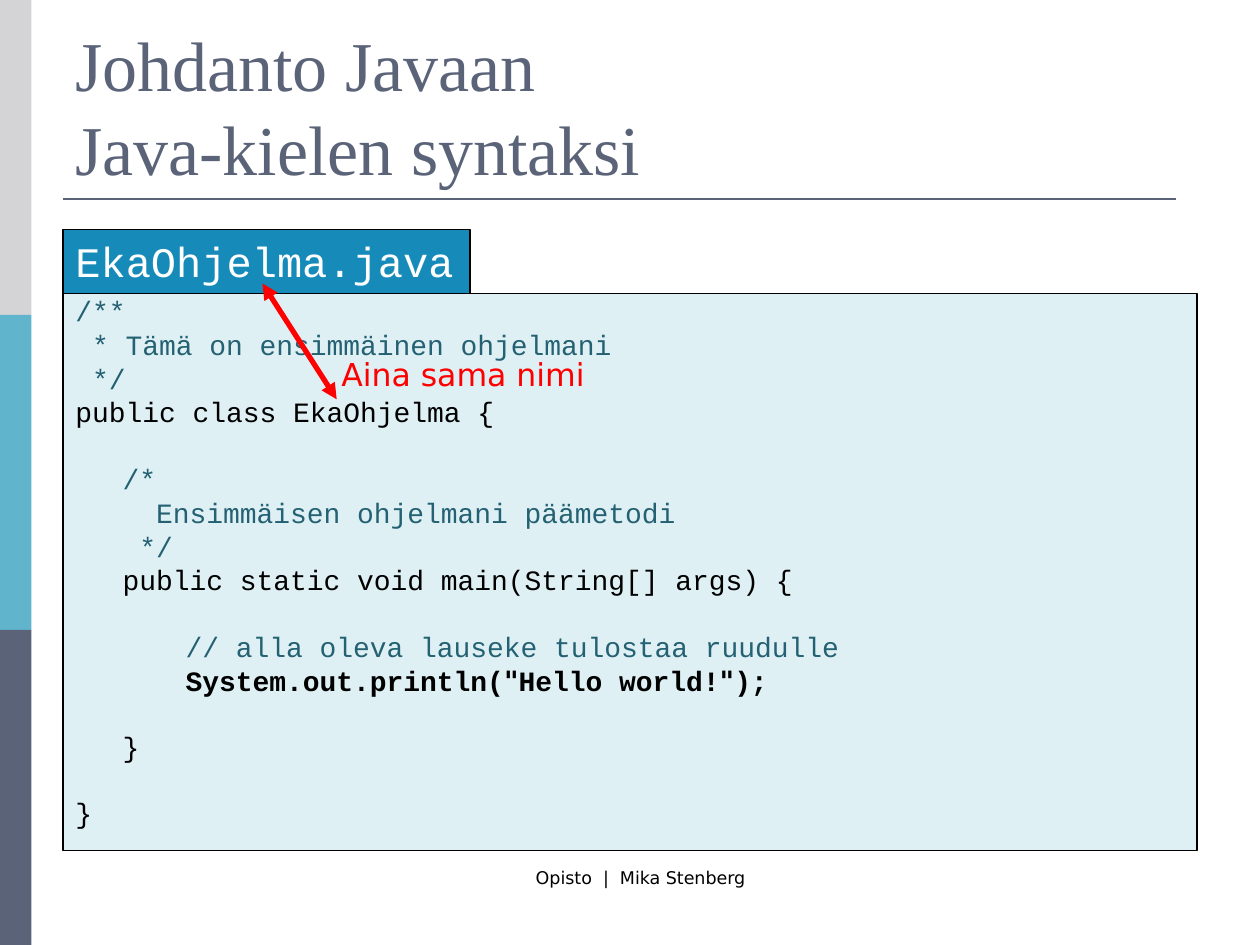
from lxml.etree import SubElement
from pptx import Presentation
from pptx.dml.color import RGBColor
from pptx.enum.shapes import MSO_CONNECTOR, MSO_SHAPE
from pptx.enum.text import MSO_ANCHOR, PP_ALIGN
from pptx.oxml.ns import qn
from pptx.util import Pt

SLATE, BLACK, WHITE, RED = "5A6378", "000000", "FFFFFF", "FF0000"
COMMENT = "246172"
MONO, SANS, SERIF = "Courier New", "DejaVu Sans", "Times New Roman"

# (text, colour, blank line before)
CODE = [
    ("/**", COMMENT, False),
    (" * Tämä on ensimmäinen ohjelmani", COMMENT, False),
    (" */", COMMENT, False),
    ("public class EkaOhjelma {", BLACK, False),
    ("\t/*", COMMENT, True),
    ("\t  Ensimmäisen ohjelmani päämetodi", COMMENT, False),
    ("\t */", COMMENT, False),
    ("\tpublic static void main(String[] args) {", BLACK, False),
    ("\t\t// alla oleva lauseke tulostaa ruudulle", COMMENT, True),
    ('\t\tSystem.out.println("Hello world!");', BLACK, False),
    ("\t}", BLACK, True),
    ("}", BLACK, True),
]


def rgb(color):
    return RGBColor.from_string(color)


def style(font, size, name, color):
    font.size, font.name = Pt(size), name
    font.color.rgb = rgb(color)


def text_frame(slide, box, fill=None, wrap=True):
    area = slide.shapes.add_textbox(*map(Pt, box))
    if fill:
        area.fill.solid()
        area.fill.fore_color.rgb = rgb(fill)
        area.line.color.rgb = rgb(BLACK)
        area.line.width = Pt(0.75)
    area.text_frame.word_wrap = wrap
    return area.text_frame


def label(slide, box, text, size, name, color, fill=None, wrap=False):
    frame = text_frame(slide, box, fill, wrap)
    paragraph = frame.paragraphs[0]
    paragraph.text = text
    style(paragraph.font, size, name, color)
    return frame


def line(slide, start, end, color, width):
    connector = slide.shapes.add_connector(
        MSO_CONNECTOR.STRAIGHT, *map(Pt, start + end))
    connector.line.color.rgb = rgb(color)
    connector.line.width = Pt(width)
    SubElement(connector._element.spPr, qn("a:effectLst"))
    return connector


def side_bar(slide, left, top, width, height):
    colors = ("D4D4D6", "60B5CC", SLATE)
    part = height / len(colors)
    for i, color in enumerate(colors):
        band = slide.shapes.add_shape(
            MSO_SHAPE.RECTANGLE, Pt(left), Pt(top + i * part), Pt(width), Pt(part))
        band.shadow.inherit = False
        band.fill.solid()
        band.fill.fore_color.rgb = rgb(color)
        band.line.fill.background()


def heading(slide, left, top, width, height):
    frame = label(slide, (left, top, width, height),
                  "Johdanto Javaan\vJava-kielen syntaksi", 40, SERIF, SLATE, wrap=True)
    frame.vertical_anchor = MSO_ANCHOR.BOTTOM
    frame.paragraphs[0].line_spacing = Pt(48)
    rule_y = top + height + 2.2
    line(slide, (left, rule_y), (left + 636, rule_y), SLATE, 1.5)


def code_panel(slide, left, top, width, height):
    tab_height = 36.6
    label(slide, (left, top, 232.6, tab_height), "EkaOhjelma.java", 24, MONO, WHITE, "168BBA")
    frame = text_frame(
        slide, (left, top + tab_height, width, height - tab_height), "DFF0F5")
    for i, (text, color, gap) in enumerate(CODE):
        paragraph = frame.add_paragraph() if i else frame.paragraphs[0]
        indent = paragraph._p.get_or_add_pPr()
        indent.set("marL", str(Pt(27)))
        indent.set("indent", str(Pt(-27)))
        paragraph.line_spacing = 0.8
        paragraph.space_before = Pt(22.5 if gap else 4)
        style(paragraph.font, 16, MONO, color)
        paragraph.font.bold = "println" in text
        # Quotation marks are set in the sans font
        for j, piece in enumerate(text.split('"')):
            if j:
                quote = paragraph.add_run()
                quote.text, quote.font.name = '"', SANS
            paragraph.add_run().text = piece


def same_name_note(slide, left, top, width, height):
    arrow = line(slide, (left - 38, top - 37.5), (left + 4.4, top + 28.7), RED, 3)
    outline = arrow.line._get_or_add_ln()
    for end in ("a:headEnd", "a:tailEnd"):
        SubElement(outline, qn(end), type="triangle")
    label(slide, (left, top, width, height), "Aina sama nimi", 18, SANS, RED)


def footer(slide, left, top, width, height):
    frame = label(slide, (left, top, width, height),
                  "Opisto  |  Mika Stenberg", 10, SANS, BLACK, wrap=True)
    frame.paragraphs[0].alignment = PP_ALIGN.CENTER


presentation = Presentation()
presentation.slide_width, presentation.slide_height = Pt(720), Pt(540)
syntax_slide = presentation.slides.add_slide(presentation.slide_layouts[6])
side_bar(syntax_slide, 0, 0, 18, 540)
footer(syntax_slide, 216, 492, 300, 36)
heading(syntax_slide, 36, 21.6, 648, 90)
code_panel(syntax_slide, 36, 131.2, 648, 354.8)
same_name_note(syntax_slide, 188, 199.5, 154, 29)
presentation.save("out.pptx")
